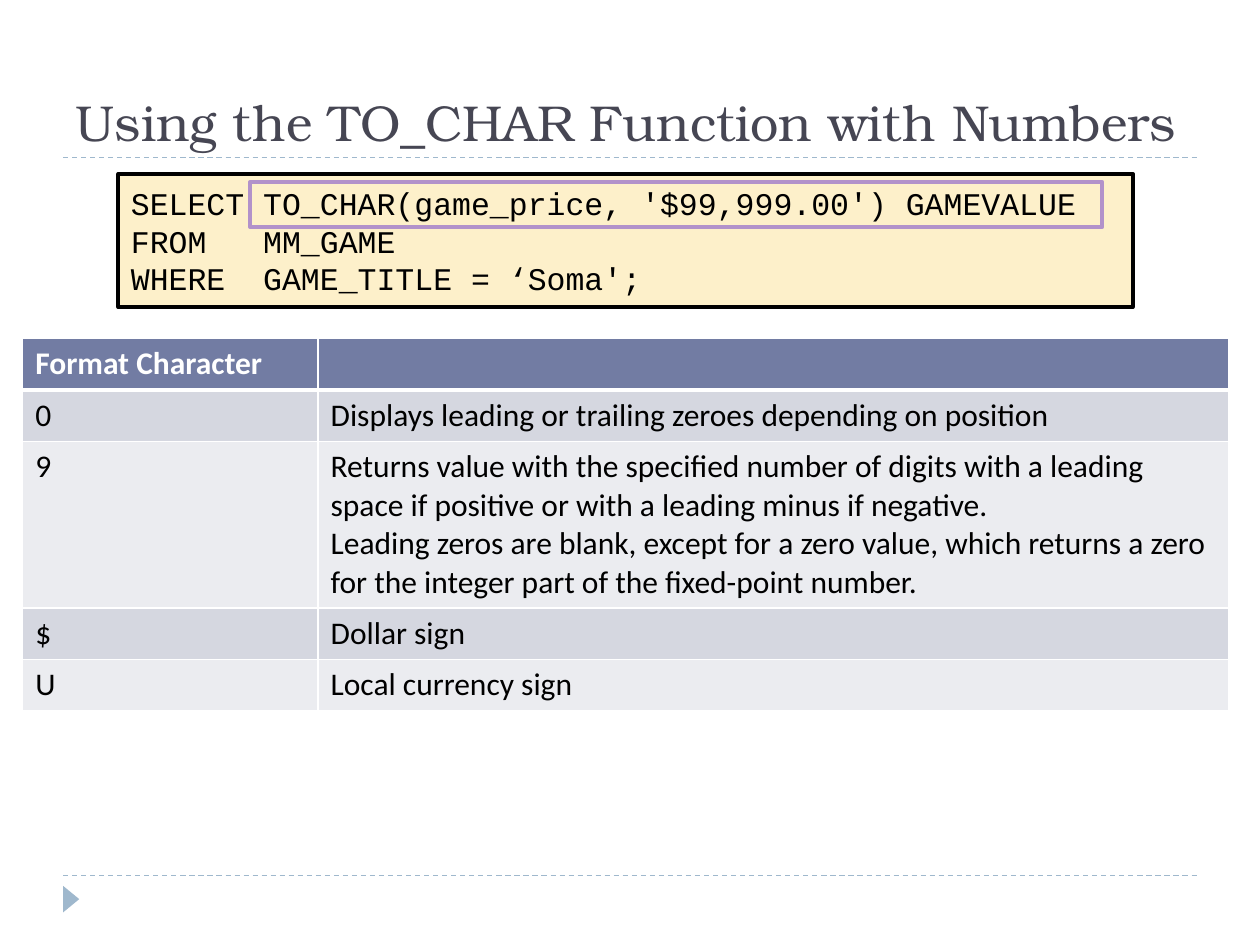
import pptx
import pptx.dml.color
import pptx.enum.dml
import pptx.enum.shapes
import pptx.enum.text
import pptx.oxml
import pptx.oxml.ns
import pptx.util

ANCHOR = pptx.enum.text.MSO_ANCHOR
SHAPE = pptx.enum.shapes.MSO_SHAPE

CODE = [
    "SELECT TO_CHAR(game_price, '$99,999.00') GAMEVALUE",
    "FROM   MM_GAME",
    "WHERE  GAME_TITLE = ‘Soma';",
]
ROWS = [
    (["Format Character"], []),
    (["0"], ["Displays leading or trailing zeroes depending on position"]),
    (["9"], [
        "Returns value with the specified number of digits with a leading space "
        "if positive or with a leading minus if negative.",
        "Leading zeros are blank, except for a zero value, which returns a zero "
        "for the integer part of the fixed-point number.",
    ]),
    (["$"], ["Dollar sign"]),
    (["U"], ["Local currency sign"]),
]


def color(value):
    return pptx.dml.color.RGBColor.from_string(value)


def part(box, x, y, w, h):
    left, top, width, height = box
    return [int(v) for v in (left + x * width, top + y * height, w * width, h * height)]


def write(tf, lines, font, size, fill, bold=False):
    for i, line in enumerate(lines):
        p = tf.paragraphs[0] if i == 0 else tf.add_paragraph()
        p.alignment = pptx.enum.text.PP_ALIGN.LEFT
        r = p.add_run()
        r.text = line
        r.font.name = font
        r.font.size = pptx.util.Pt(size)
        r.font.bold = bold
        r.font.color.rgb = color(fill)


def add_shape(slide, kind, box, fill=None, line=None):
    sp = slide.shapes.add_shape(kind, *box)
    sp.shadow.inherit = False
    if fill:
        sp.fill.solid()
        sp.fill.fore_color.rgb = color(fill)
    else:
        sp.fill.background()
    if line:
        sp.line.color.rgb = color(line)
        sp.line.width = pptx.util.Pt(2.25)
    else:
        sp.line.fill.background()
    return sp


def add_frame(slide, box):
    left, top, width, height = box
    for y in (top, top + height):
        line = slide.shapes.add_connector(
            pptx.enum.shapes.MSO_CONNECTOR.STRAIGHT, left, y, left + width, y)
        line.line.color.rgb = color("9FB8CD")
        line.line.width = pptx.util.Pt(0.75)
        line.line.dash_style = pptx.enum.dml.MSO_LINE.DASH
        pptx.oxml.ns.qn("a:effectLst")
        line._element.spPr.append(
            line._element.spPr.makeelement(pptx.oxml.ns.qn("a:effectLst"), {}))


def add_marker(slide, box):
    add_shape(slide, SHAPE.ISOSCELES_TRIANGLE, box, "9FB8CD").rotation = 90


def add_title(slide, box, text):
    sp = slide.shapes.title
    sp.left, sp.top, sp.width, sp.height = box
    tf = sp.text_frame
    tf.auto_size = pptx.enum.text.MSO_AUTO_SIZE.NONE
    tf.vertical_anchor = ANCHOR.BOTTOM
    write(tf, [text], "TeX Gyre Bonum", 28.8, "464653")


def add_code(slide, box):
    sp = add_shape(slide, SHAPE.RECTANGLE, box, "FDF0CA", "000000")
    tf = sp.text_frame
    tf.word_wrap = True
    tf.vertical_anchor = ANCHOR.MIDDLE
    write(tf, CODE, "Courier New", 18, "000000")
    add_shape(slide, SHAPE.RECTANGLE, part(box, 0.13, 0.06, 0.84, 0.34), line="B292CA")


def add_borders(cell, top, bottom):
    tcPr = cell._tc.get_or_add_tcPr()
    for i, (side, width) in enumerate(zip("LRTB", (1, 1, top, bottom))):
        tcPr.insert(i, pptx.oxml.parse_xml(
            f'<a:ln{side} {pptx.oxml.ns.nsdecls("a")} w="{pptx.util.Pt(width)}">'
            f'<a:solidFill><a:srgbClr val="FFFFFF"/></a:solidFill></a:ln{side}>'))


def add_format_table(slide, box):
    table = slide.shapes.add_table(len(ROWS), 2, *box).table
    for col, share in zip(table.columns, (0.245, 0.755)):
        col.width = int(box[2] * share)
    for row, share in zip(table.rows, (0.14, 0.14, 0.44, 0.14, 0.14)):
        row.height = int(box[3] * share)
    for i, texts in enumerate(ROWS):
        head = i == 0
        fill = "727CA3" if head else ("EBECF0", "D5D7E0")[i % 2]
        for j, lines in enumerate(texts):
            cell = table.cell(i, j)
            cell.fill.solid()
            cell.fill.fore_color.rgb = color(fill)
            add_borders(cell, 3 if i == 1 else 1, 3 if head else 1)
            write(cell.text_frame, lines, "Calibri", 18,
                  "FFFFFF" if head else "000000", head)


def main():
    prs = pptx.Presentation()
    prs.slide_width = pptx.util.Inches(10)
    prs.slide_height = pptx.util.Inches(7.5)
    page = (0, 0, prs.slide_width, prs.slide_height)
    slide = prs.slides.add_slide(prs.slide_layouts[5])
    add_frame(slide, part(page, 0.05, 1 / 6, 0.9, 0.76))
    add_marker(slide, part(page, 0.046, 0.943, 0.021, 0.017))
    add_title(slide, part(page, 0.05, 1 / 30, 0.9, 2 / 15),
              "Using the TO_CHAR Function with Numbers")
    add_code(slide, part(page, 0.094, 0.184, 0.805, 0.141))
    add_format_table(slide, part(page, 0.018, 0.358, 0.957, 0.39))
    prs.save("out.pptx")


if __name__ == "__main__":
    main()
